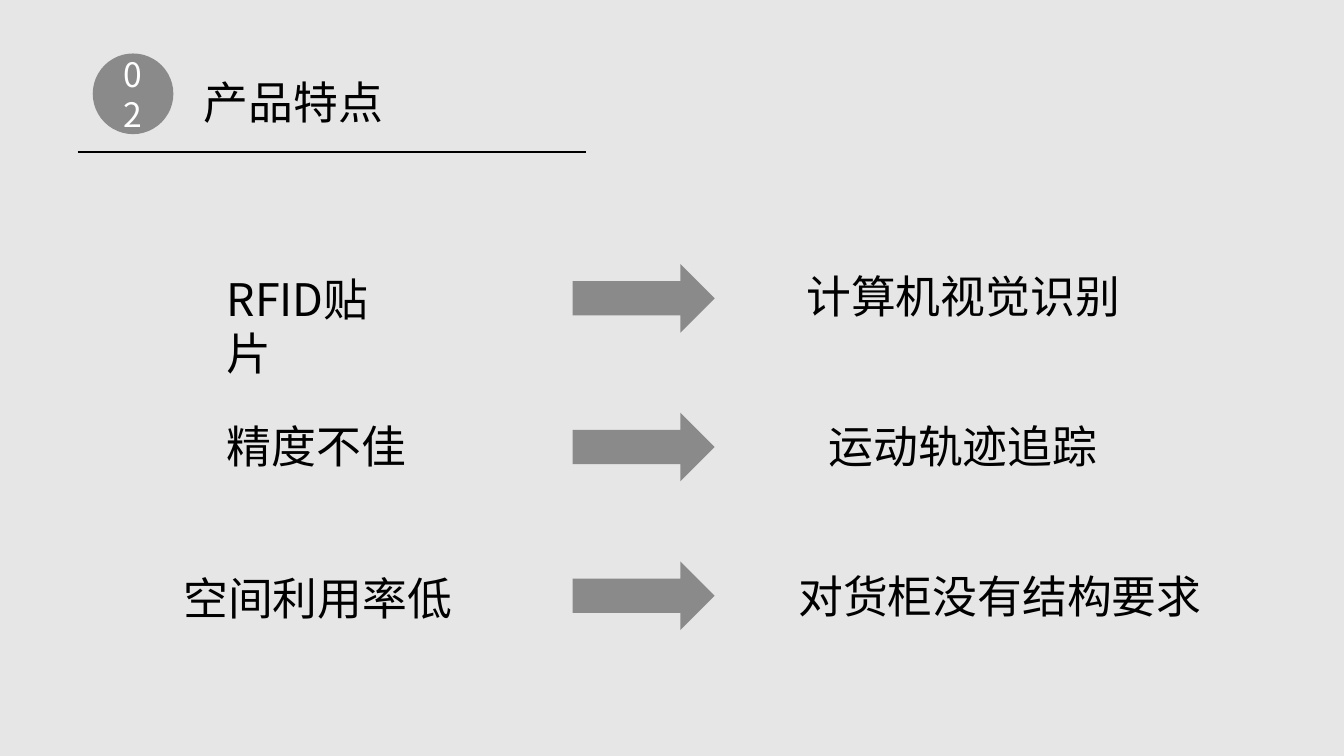
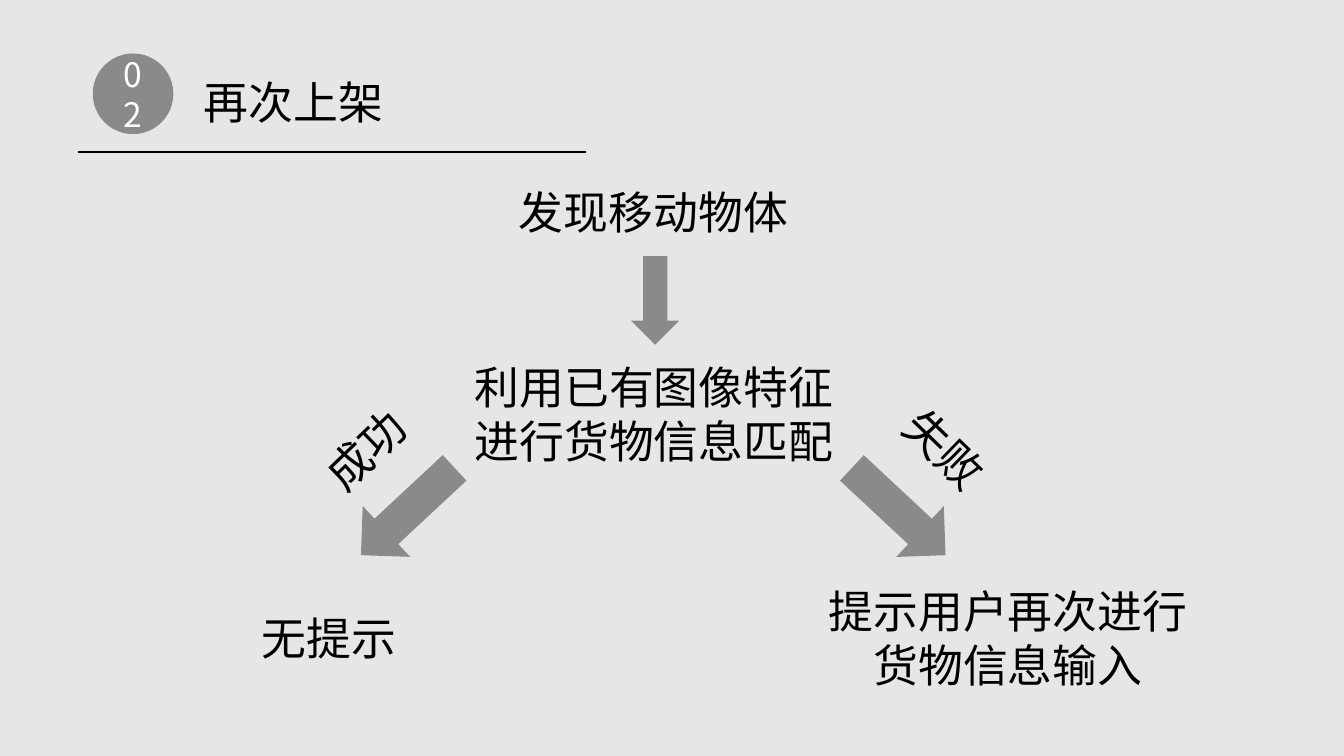
"""Build two slides: product features and the restocking flow."""
from dataclasses import dataclass

from lxml import etree
from pptx import Presentation
from pptx.dml.color import RGBColor
from pptx.enum.shapes import MSO_CONNECTOR, MSO_SHAPE
from pptx.enum.text import MSO_ANCHOR, MSO_AUTO_SIZE, PP_ALIGN
from pptx.oxml.ns import qn
from pptx.util import Inches, Pt

LEFT, CENTER = PP_ALIGN.LEFT, PP_ALIGN.CENTER
TOP, MIDDLE = MSO_ANCHOR.TOP, MSO_ANCHOR.MIDDLE
OVAL, RIGHT_ARROW, DOWN_ARROW = MSO_SHAPE.OVAL, MSO_SHAPE.RIGHT_ARROW, MSO_SHAPE.DOWN_ARROW
STRAIGHT = MSO_CONNECTOR.STRAIGHT
FIXED_SIZE = MSO_AUTO_SIZE.NONE
TITLE_ONLY = 5


@dataclass(frozen=True)
class Theme:
    background: RGBColor = RGBColor.from_string("E7E6E6")
    ink: RGBColor = RGBColor.from_string("000000")
    light: RGBColor = RGBColor.from_string("FFFFFF")
    opacity: str = "40000"
    font: str = "Noto Sans CJK SC"
    text_size: int = 32
    badge_size: int = 24
    rule_width: int = 1


theme = Theme()
presentation = Presentation()
presentation.slide_width = Inches(13.33)
presentation.slide_height = Inches(7.5)
presentation.slide_master.background.fill.solid()
presentation.slide_master.background.fill.fore_color.rgb = theme.background
column = presentation.slide_width / 100
row = presentation.slide_height / 100
character_width, line_height = Inches(0.45), Inches(0.54)
margin = Inches(0.1)


def write(shape, text, size=theme.text_size, color=theme.ink, align=LEFT, anchor=TOP):
    frame = shape.text_frame
    frame.text = text
    frame.word_wrap = True
    frame.auto_size = FIXED_SIZE
    frame.vertical_anchor = anchor
    for paragraph in frame.paragraphs:
        paragraph.alignment = align
        font = paragraph.runs[0].font
        font.size = Pt(size)
        font.color.rgb = color
        font.name = theme.font
        east_asian = etree.SubElement(paragraph.runs[0]._r.get_or_add_rPr(), qn("a:ea"))
        east_asian.set("typeface", theme.font)


def add_figure(slide, preset, left, top, width, height, rotation=0):
    shape = slide.shapes.add_shape(
        preset, int(left * column), int(top * row), int(width * column), int(height * row))
    shape.rotation = rotation
    shape.shadow.inherit = False
    shape.line.fill.background()
    shape.fill.solid()
    shape.fill.fore_color.rgb = theme.ink
    color = shape.fill._xPr.find(qn("a:solidFill"))[0]
    etree.SubElement(color, qn("a:alpha")).set("val", theme.opacity)
    return shape


arrow_rows = [34.93 + 19.67 * index for index in range(3)]
slides = [
    {
        "title": "产品特点",
        "arrows": [(RIGHT_ARROW, 42.6, top, 10.58, 9.07, 0) for top in arrow_rows],
        "labels": [
            ("RFID贴片", 16.13, 35.33, 0, LEFT),
            ("计算机视觉识别", 59.25, 34.93, 0, LEFT),
            ("精度不佳", 16.13, 54.67, 0, LEFT),
            ("运动轨迹追踪", 60.9, 54.67, 0, LEFT),
            ("空间利用率低", 12.9, 74.8, 0, LEFT),
            ("对货柜没有结构要求", 58.65, 74.53, 0, LEFT),
        ],
    },
    {
        "title": "再次上架",
        "arrows": [
            (DOWN_ARROW, 46.95, 33.87, 3.6, 11.73, 0),
            (DOWN_ARROW, 27.75, 59.2, 5.18, 16.93, 47),
            (DOWN_ARROW, 64.28, 59.2, 5.18, 16.93, 313),
        ],
        "labels": [
            ("发现移动物体", 37.88, 23.73, 0, LEFT),
            ("利用已有图像特征\n进行货物信息匹配", 34.58, 46.93, 0, LEFT),
            ("成功", 23.1, 55.2, 316, LEFT),
            ("无提示", 18.75, 80.13, 0, LEFT),
            ("失败", 66.23, 55.2, 44, LEFT),
            ("提示用户再次进行\n货物信息输入", 60.75, 76.53, 0, CENTER),
        ],
    },
]
narrow_widths = {"RFID贴片": Inches(2.03)}

for content in slides:
    slide = presentation.slides.add_slide(presentation.slide_layouts[TITLE_ONLY])

    badge = add_figure(slide, OVAL, 6.9, 7.07, 6, 10.67)
    write(badge, "02", size=theme.badge_size, color=theme.light, align=CENTER, anchor=MIDDLE)

    title = slide.shapes.title
    title.left, title.top = int(14.4 * column), int(9.2 * row)
    title.width = len(content["title"]) * character_width + 2 * margin
    title.height = line_height + margin
    write(title, content["title"])

    rule = slide.shapes.add_connector(
        STRAIGHT, int(5.78 * column), int(20.13 * row), int(43.58 * column), int(20.13 * row))
    rule.line.color.rgb = theme.ink
    rule.line.width = Pt(theme.rule_width)
    etree.SubElement(rule._element.spPr, qn("a:effectLst"))

    for arrow in content["arrows"]:
        add_figure(slide, *arrow)

    for text, left, top, rotation, align in content["labels"]:
        lines = text.split("\n")
        natural_width = max(map(len, lines)) * character_width + 2 * margin
        label = slide.shapes.add_textbox(
            int(left * column), int(top * row),
            narrow_widths.get(text, natural_width), len(lines) * line_height + margin)
        label.rotation = rotation
        write(label, text, align=align)

presentation.save("out.pptx")
